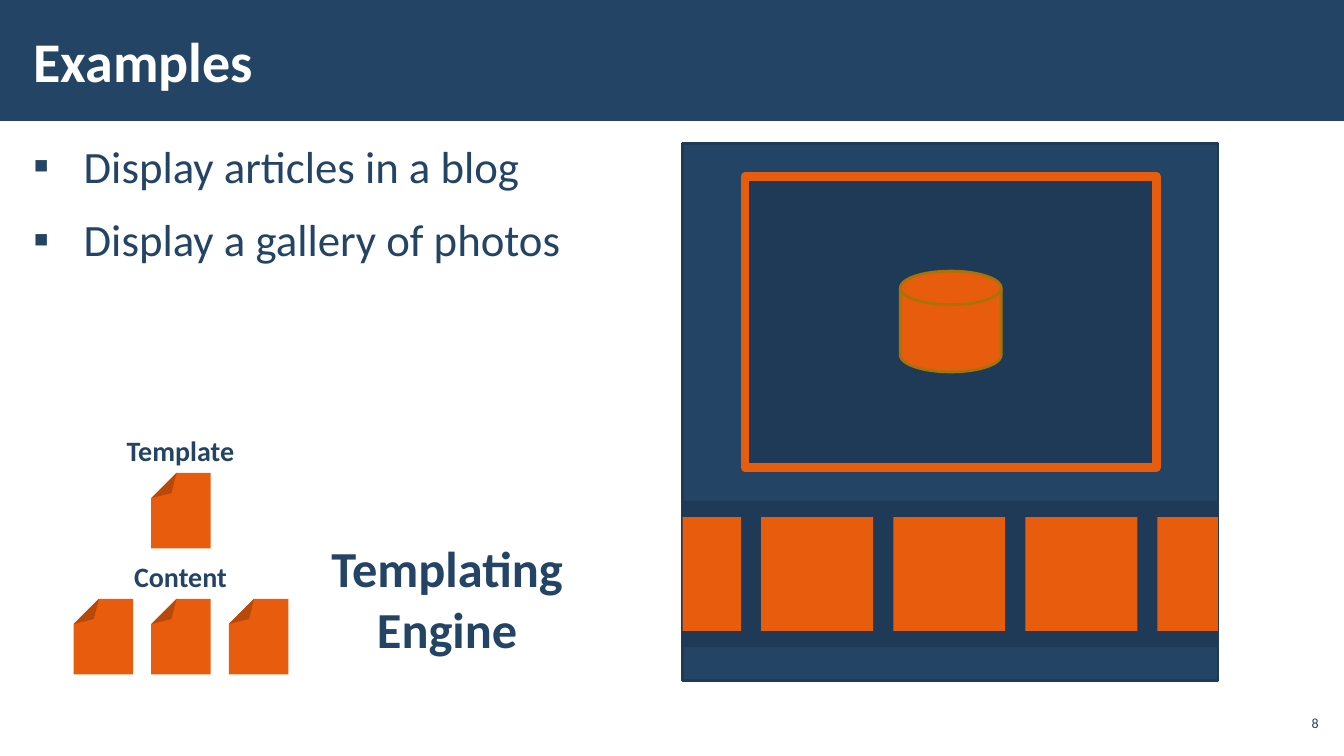
from lxml import etree
from pptx import Presentation
from pptx.dml.color import RGBColor
from pptx.enum.shapes import MSO_SHAPE
from pptx.enum.text import MSO_ANCHOR, MSO_AUTO_SIZE, PP_ALIGN
from pptx.oxml.ns import qn
from pptx.util import Pt

PX = 9144
FONT = "Calibri"
COLORS = {"navy": "234465", "dark": "1E3A56", "orange": "E85C0E",
          "bronze": "A97209", "white": "FFFFFF"}
RECT = MSO_SHAPE.RECTANGLE
FOLDED = MSO_SHAPE.FOLDED_CORNER
DISK = MSO_SHAPE.FLOWCHART_MAGNETIC_DISK
MIDDLE, TOP = MSO_ANCHOR.MIDDLE, MSO_ANCHOR.TOP
LEFT, CENTER, RIGHT = PP_ALIGN.LEFT, PP_ALIGN.CENTER, PP_ALIGN.RIGHT
NO_FIT, GROW = MSO_AUTO_SIZE.NONE, MSO_AUTO_SIZE.SHAPE_TO_FIT_TEXT


def color(name):
    return RGBColor.from_string(COLORS[name])


def emu(*lengths):
    return [length * PX for length in lengths]


def add_block(page, kind, left, top, width, height, fill, line=None, weight=2):
    block = page.shapes.add_shape(kind, *emu(left, top, width, height))
    block.shadow.inherit = False
    block.fill.solid()
    block.fill.fore_color.rgb = color(fill)
    if line:
        block.line.color.rgb = color(line)
        block.line.width = Pt(weight)
    else:
        block.line.fill.background()
    return block


def add_document(page, left, top):
    document = add_block(page, FOLDED, left, top, 59, 75, "orange")
    guides = next(document.element.iter(qn("a:avLst")))
    etree.SubElement(guides, qn("a:gd"), name="adj", fmla="val 42500")
    document.rotation = 180


def write(para, text, size=20, fill="navy", bold=False, align=LEFT):
    para.alignment = align
    span = para.add_run()
    span.text = text
    span.font.name = FONT
    span.font.size = Pt(size)
    span.font.bold = bold
    span.font.color.rgb = color(fill)


def set_frame(box, side, edge, anchor=TOP, fit=NO_FIT):
    frame = box.text_frame
    frame.word_wrap = True
    frame.auto_size = fit
    frame.vertical_anchor = anchor
    frame.margin_left = frame.margin_right = side * PX
    frame.margin_top = frame.margin_bottom = edge * PX
    return frame


def place(box, left, top, width, height):
    box.left, box.top, box.width, box.height = emu(left, top, width, height)


def add_label(page, text, left, top, width, height, side=10, edge=5,
              anchor=TOP, fit=GROW, **style):
    box = page.shapes.add_textbox(*emu(left, top, width, height))
    write(set_frame(box, side, edge, anchor, fit).paragraphs[0], text, **style)


def fill_title(title, text):
    place(title, 21, 11, 1039, 97)
    frame = set_frame(title, 12, 4, MIDDLE)
    write(frame.paragraphs[0], text, size=40, fill="white", bold=True)


def fill_list(body, items):
    place(body, 21, 131, 1292, 569)
    frame = set_frame(body, 12, 4)
    for index, item in enumerate(items):
        para = frame.add_paragraph() if index else frame.paragraphs[0]
        properties = para._p.get_or_add_pPr()
        properties.set("marL", str(50 * PX))
        properties.set("indent", str(-50 * PX))
        etree.SubElement(properties, qn("a:buFont")).set("typeface", FONT)
        etree.SubElement(properties, qn("a:buChar")).set("char", "▪")
        para.line_spacing = 1.05
        para.space_before = Pt(6 if index else 0)
        para.space_after = Pt(6)
        write(para, item, size=32)


def add_sources(page):
    middle, pitch = 150, 77
    for text, top, offsets in (("Template", 425, [0]), ("Content", 550, [-1, 0, 1])):
        add_label(page, text, 108, top, 142, 44, bold=True, align=CENTER)
        for offset in offsets:
            add_document(page, middle + offset * pitch, top + 44)


def add_gallery(page):
    left, width = 677, 531
    right = left + width
    add_block(page, RECT, left, 142, width, 533, "navy", "dark")
    add_block(page, RECT, 739, 175, 408, 289, "dark", "orange", 6)
    add_block(page, DISK, 893, 269, 100, 100, "orange", "bronze")
    add_block(page, RECT, left, 497, width, 145, "dark")
    photo, pitch, first = 111, 131, 624
    for index in range(5):
        start = max(left, first + index * pitch)
        end = min(right, first + index * pitch + photo)
        add_block(page, RECT, start, 513, end - start, 113, "orange")


def main():
    deck = Presentation()
    deck.slide_width, deck.slide_height = emu(1333, 750)
    page = deck.slides.add_slide(deck.slide_layouts[1])
    band = add_block(page, RECT, 0, 0, 1333, 120, "navy")
    page.shapes.element.insert(2, band.element)
    fill_title(page.shapes.title, "Examples")
    fill_list(page.placeholders[1],
              ["Display articles in a blog", "Display a gallery of photos"])
    add_sources(page)
    add_label(page, "Templating Engine", 308, 528, 271, 131,
              size=36, bold=True, align=CENTER)
    add_gallery(page)
    add_label(page, "8", 1265, 700, 47, 34, side=4, edge=4,
              anchor=MIDDLE, fit=NO_FIT, size=10, align=RIGHT)
    deck.save("out.pptx")


if __name__ == "__main__":
    main()
